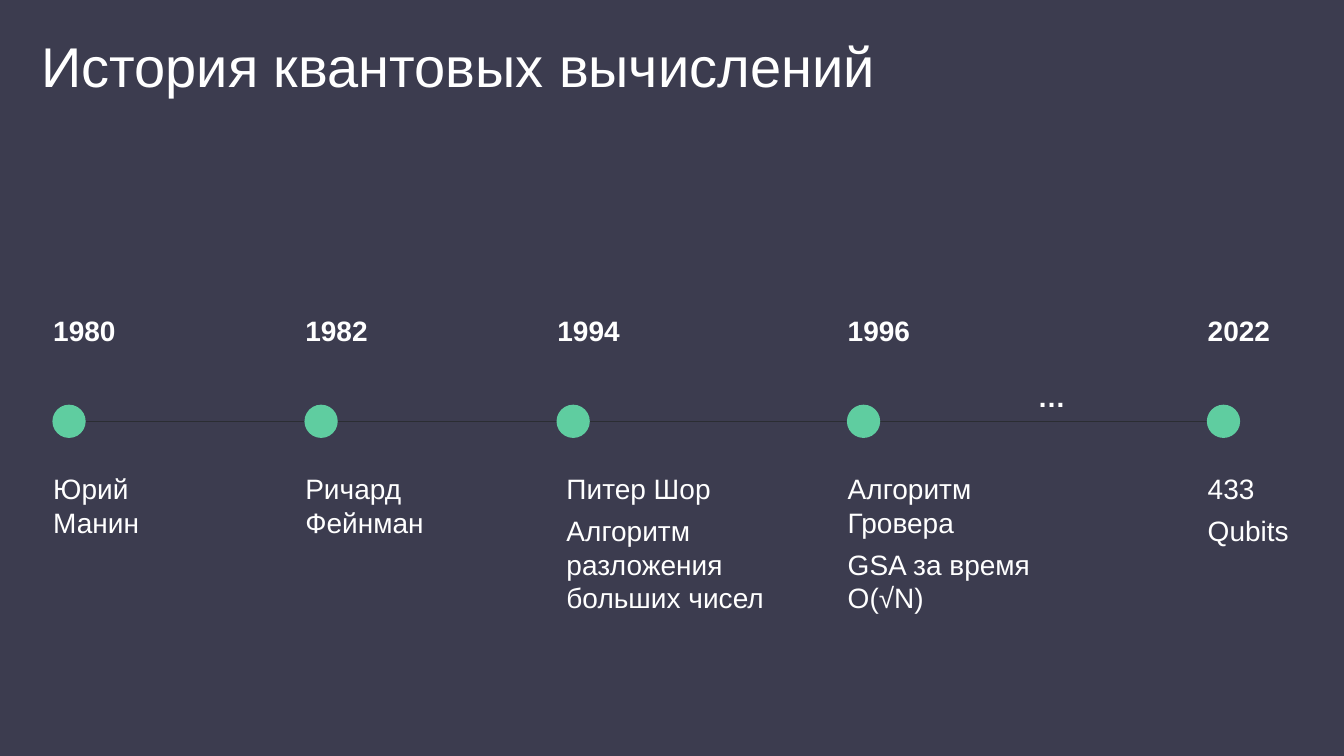
"""Build a timeline slide on the history of quantum computing."""
from itertools import pairwise

from lxml.etree import SubElement
from pptx import Presentation
from pptx.dml.color import RGBColor
from pptx.enum.shapes import MSO_CONNECTOR, MSO_SHAPE
from pptx.enum.text import MSO_ANCHOR, MSO_AUTO_SIZE, PP_ALIGN
from pptx.oxml.ns import qn
from pptx.util import Inches, Pt

TITLE = "История квантовых вычислений"
EVENTS = [
    {"year": "1980", "left": 0.43, "year_w": 2.3, "about_w": 1.23,
     "about": ["Юрий Манин"]},
    {"year": "1982", "left": 2.93, "year_w": 2.3, "about_w": 1.77,
     "about": ["Ричард Фейнман"]},
    {"year": "1994", "left": 5.43, "year_w": 2.3, "about_w": 2.6, "indent": 0.09,
     "about": ["Питер Шор", "Алгоритм разложения больших чисел"]},
    {"year": "1996", "left": 8.31, "year_w": 1.66, "about_w": 2.5,
     "about": ["Алгоритм Гровера", "GSA за время O(√N)"]},
    {"year": "2022", "left": 11.88, "year_w": 1.29, "about_w": 1.29,
     "about": ["433", "Qubits"]},
]
BACK, WHITE, GREEN, DARK = "3C3C4F", "FFFFFF", "5FCDA0", "2B2D33"
YEAR_TOP, AXIS, ABOUT_TOP = 3.06, 4.18, 4.63
YEAR_H, ABOUT_H = 0.79, 2.44
DOT, DOT_SHIFT = 0.33, 0.09


def paint(fill, color):
    fill.solid()
    fill.fore_color.rgb = RGBColor.from_string(color)


def write(sp, lines, size=20, bold=False, align=PP_ALIGN.LEFT, spacing=None):
    tf = sp.text_frame
    tf.word_wrap = True
    tf.auto_size = MSO_AUTO_SIZE.NONE
    tf.vertical_anchor = MSO_ANCHOR.TOP
    for i, line in enumerate(lines):
        p = tf.add_paragraph() if i else tf.paragraphs[0]
        p.alignment = align
        p.space_before = Pt(6 if i else 0)
        p.line_spacing = spacing
        r = p.add_run()
        r.text = line
        r.font.name, r.font.size, r.font.bold = "Arial", Pt(size), bold
        r.font.color.rgb = RGBColor.from_string(WHITE)


def add_text(s, box, lines, **style):
    write(s.shapes.add_textbox(*map(Inches, box)), lines, **style)


def add_line(s, start, end):
    line = s.shapes.add_connector(MSO_CONNECTOR.STRAIGHT, Inches(start), Inches(AXIS),
                                  Inches(end), Inches(AXIS))
    line.line.width = Pt(1)
    paint(line.line.fill, DARK)
    SubElement(line._element.spPr, qn("a:effectLst"))


def add_dot(s, left):
    dot = s.shapes.add_shape(MSO_SHAPE.OVAL, Inches(left), Inches(AXIS - DOT / 2),
                             Inches(DOT), Inches(DOT))
    dot.shadow.inherit = False
    paint(dot.fill, GREEN)
    dot.line.fill.background()


def main():
    prs = Presentation()
    prs.slide_width, prs.slide_height = Inches(13.33), Inches(7.5)
    s = prs.slides.add_slide(prs.slide_layouts[5])
    paint(s.background.fill, BACK)

    title = s.shapes.title
    title.left, title.top, title.width, title.height = map(Inches, (0.31, 0.39, 11.67, 1.29))
    write(title, [TITLE], size=40, spacing=0.8)

    dots = [event["left"] + DOT_SHIFT for event in EVENTS]
    for start, end in pairwise(dots):
        add_line(s, start + DOT, end)
    for event, dot in zip(EVENTS, dots):
        left = event["left"]
        about_left = left + event.get("indent", 0)
        add_text(s, (left, YEAR_TOP, event["year_w"], YEAR_H), [event["year"]], bold=True)
        add_dot(s, dot)
        add_text(s, (about_left, ABOUT_TOP, event["about_w"], ABOUT_H), event["about"])
    add_text(s, (10.12, 3.72, 0.62, YEAR_H), ["…"], bold=True, align=PP_ALIGN.CENTER)

    prs.save("out.pptx")


if __name__ == "__main__":
    main()
